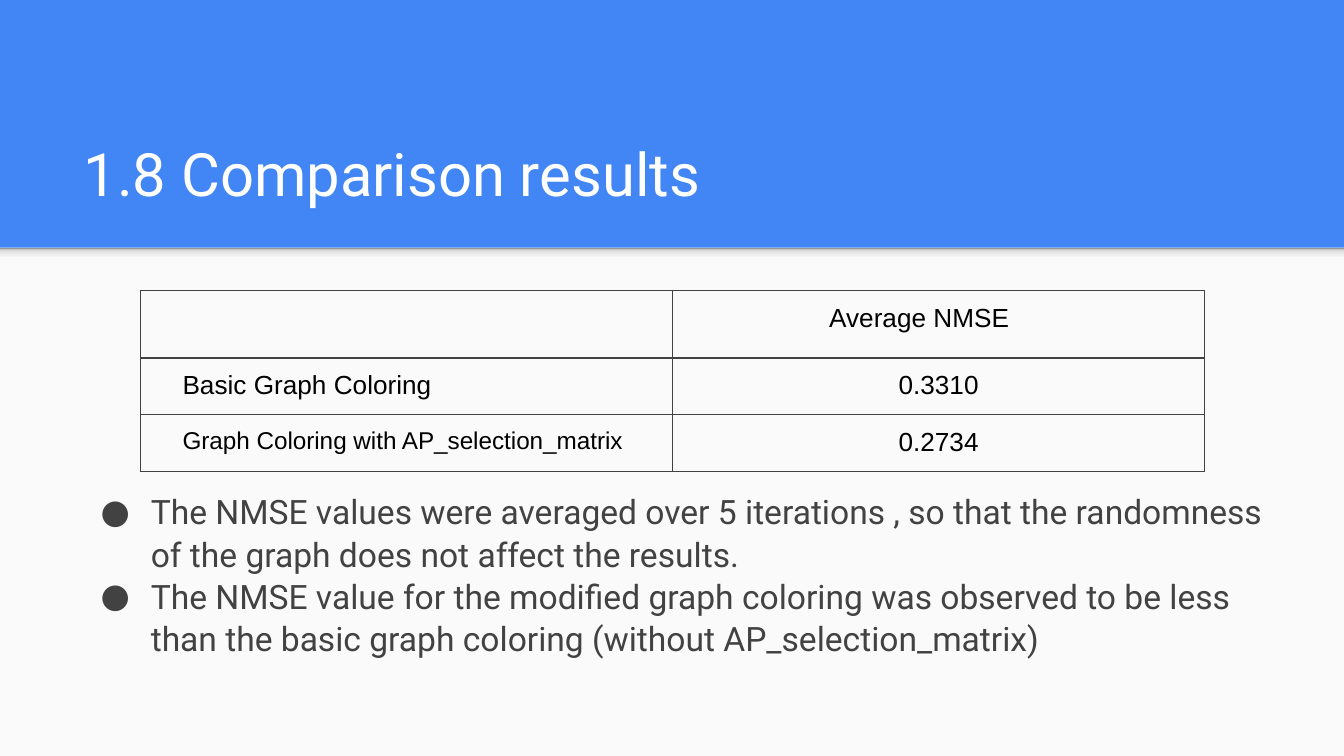
import copy
from dataclasses import dataclass

import pptx
import pptx.dml.color
import pptx.enum.shapes
import pptx.enum.text
import pptx.oxml.ns
import pptx.util
from lxml import etree

Cm, Pt = pptx.util.Cm, pptx.util.Pt
ALIGN = pptx.enum.text.PP_ALIGN
qn = pptx.oxml.ns.qn


@dataclass(frozen=True)
class Theme:
    blue: str = "4285F4"
    panel: str = "FAFAFA"
    white: str = "FFFFFF"
    grey: str = "424242"
    black: str = "000000"
    shade: tuple = ((0, "F9F9F9"), (0.36, "F9F9F9"), (0.8, "DEDEDE"), (1, "999999"))
    font: str = "Roboto"
    table_font: str = "Arial"
    title_size: float = 32
    body_size: float = 18
    cell_size: float = 14
    long_cell_size: float = 13


THEME = Theme()
INSET = Cm(0.25)


def rgb(value):
    return pptx.dml.color.RGBColor.from_string(value)


def add_run(p, text, size, color, font):
    r = p.add_run()
    r.text = text
    r.font.size = Pt(size)
    r.font.name = font
    r.font.color.rgb = rgb(color)


def add_rect(slide, box):
    sp = slide.shapes.add_shape(pptx.enum.shapes.MSO_SHAPE.RECTANGLE, *box)
    sp.shadow.inherit = False
    sp.line.fill.background()
    return sp


def place_placeholder(slide, ph, box, anchor):
    """Move a placeholder to the box, in front of the backdrop."""
    slide.shapes._spTree.append(ph._element)
    ph.left, ph.top, ph.width, ph.height = box
    tf = ph.text_frame
    tf.word_wrap = True
    tf.auto_size = pptx.enum.text.MSO_AUTO_SIZE.NONE
    tf.vertical_anchor = anchor
    tf.margin_left = tf.margin_right = tf.margin_top = tf.margin_bottom = INSET
    return tf


def add_backdrop(slide, box):
    """Light panel with a soft shade along its top edge."""
    left, top, width, height = box
    slide.background.fill.solid()
    slide.background.fill.fore_color.rgb = rgb(THEME.blue)

    panel = add_rect(slide, box)
    panel.fill.solid()
    panel.fill.fore_color.rgb = rgb(THEME.panel)

    fill = add_rect(slide, (left, top, width, Cm(0.3))).fill
    fill.gradient()
    fill.gradient_angle = 90
    first = fill.gradient_stops[0]._gs
    for _ in THEME.shade[2:]:
        first.addnext(copy.deepcopy(first))
    for stop, (position, color) in zip(fill.gradient_stops, THEME.shade):
        stop.position = position
        stop.color.rgb = rgb(color)


def add_title(slide, box, text):
    tf = place_placeholder(slide, slide.shapes.title, box,
                           pptx.enum.text.MSO_ANCHOR.BOTTOM)
    p = tf.paragraphs[0]
    p.alignment = ALIGN.LEFT
    add_run(p, text, THEME.title_size, THEME.white, THEME.font)


def add_bullets(slide, box, items):
    tf = place_placeholder(slide, slide.placeholders[1], box,
                           pptx.enum.text.MSO_ANCHOR.TOP)
    for i, item in enumerate(items):
        p = tf.paragraphs[0] if i == 0 else tf.add_paragraph()
        p.alignment = ALIGN.LEFT
        p.line_spacing = 1.05
        p.space_before = Pt(0)
        pPr = p._p.get_or_add_pPr()
        pPr.set("marL", str(Cm(1.27)))
        pPr.set("indent", str(-Cm(0.95)))
        color = etree.SubElement(pPr, qn("a:buClr"))
        etree.SubElement(color, qn("a:srgbClr"), val=THEME.grey)
        etree.SubElement(pPr, qn("a:buFont"), typeface=THEME.font)
        etree.SubElement(pPr, qn("a:buChar"), char="●")
        add_run(p, item, THEME.body_size, THEME.grey, THEME.font)


def style_cell(cell):
    """Clear fill, even margins and a thin line on all four sides."""
    cell.margin_left = cell.margin_right = INSET
    cell.margin_top = cell.margin_bottom = INSET
    tcPr = cell._tc.get_or_add_tcPr()
    for side in ("a:lnL", "a:lnR", "a:lnT", "a:lnB"):
        ln = etree.SubElement(tcPr, qn(side), w=str(Pt(0.75)))
        solid = etree.SubElement(ln, qn("a:solidFill"))
        etree.SubElement(solid, qn("a:srgbClr"), val=THEME.grey)
    cell.fill.background()


def add_results(slide, box, header, results):
    left, top, width, height = box
    row_height = Cm(1.07)
    table = slide.shapes.add_table(len(results) + 1, 2, *box).table
    table.first_row = table.horz_banding = False
    for column in table.columns:
        column.width = width // 2
    for row in table.rows:
        row.height = row_height
    table.rows[0].height = height - len(results) * row_height
    for cell in table.iter_cells():
        style_cell(cell)

    def write(cell, text, size=THEME.cell_size, align=ALIGN.LEFT, margin=INSET):
        cell.margin_left = margin
        p = cell.text_frame.paragraphs[0]
        p.alignment = align
        add_run(p, text, size, THEME.black, THEME.table_font)

    write(table.cell(0, 1), header, margin=Cm(2.96))
    for i, (label, size, value) in enumerate(results, 1):
        write(table.cell(i, 0), label, size, margin=Cm(0.8))
        write(table.cell(i, 1), value, align=ALIGN.CENTER)


def main():
    prs = pptx.Presentation()
    prs.slide_width, prs.slide_height = Cm(25.4), Cm(14.29)
    slide = prs.slides.add_slide(prs.slide_layouts[1])

    band = Cm(4.68)
    add_backdrop(slide, (0, band, prs.slide_width, prs.slide_height - band))
    add_title(slide, (Cm(1.33), Cm(2.06), Cm(22.83), Cm(2.13)),
              "1.8 Comparison results")
    add_bullets(slide, (Cm(1.33), Cm(9), Cm(22.83), Cm(3.85)), [
        "The NMSE values were averaged over 5 iterations , so that the "
        "randomness of the graph does not affect the results.",
        "The NMSE value for the modified graph coloring was observed to be "
        "less than the basic graph coloring (without AP_selection_matrix)",
    ])
    add_results(slide, (Cm(2.65), Cm(5.49), Cm(20.12), Cm(3.36)), "Average NMSE", [
        ("Basic Graph Coloring", THEME.cell_size, "0.3310"),
        ("Graph Coloring with AP_selection_matrix", THEME.long_cell_size, "0.2734"),
    ])
    prs.save("out.pptx")


if __name__ == "__main__":
    main()
